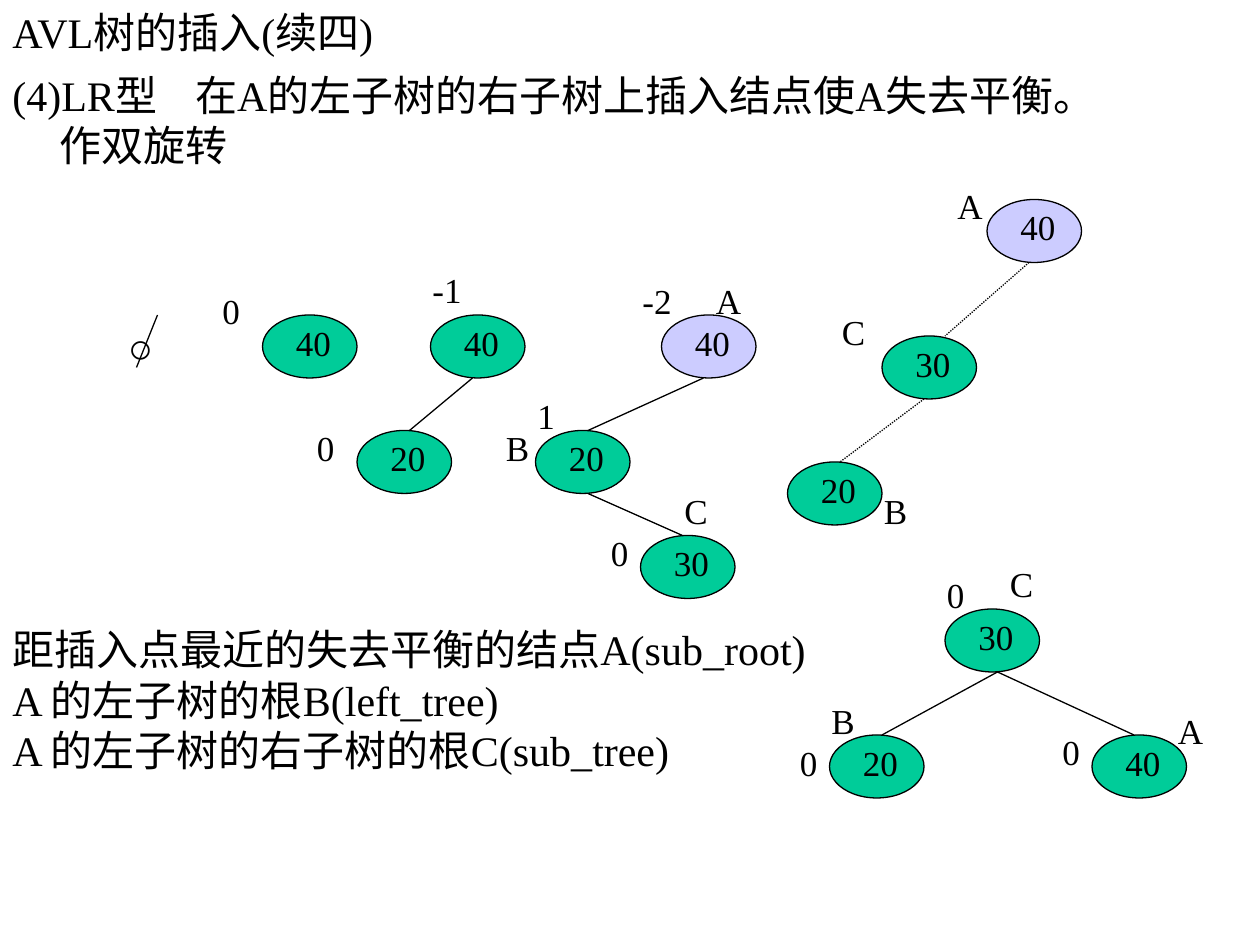
from dataclasses import dataclass

from lxml import etree
from pptx import Presentation
from pptx import util as u
from pptx.dml.color import RGBColor
from pptx.enum import dml, shapes, text
from pptx.oxml.ns import qn


@dataclass(frozen=True)
class Theme:
    ink: RGBColor = RGBColor(0, 0, 0)
    calm: RGBColor = RGBColor(0x00, 0xCC, 0x99)
    hot: RGBColor = RGBColor(0xCC, 0xCC, 0xFF)
    face: str = "Times New Roman"
    body: int = 24
    label: int = 20
    rule: float = 0.75


T = Theme()
COLS, ROWS = 120, 90          # grid over the whole slide
WIDE, HIGH = 9, 6             # one tree node
TALL = 5.28                   # one label
UNIT = u.Inches(10) // COLS


def grid(*cells):
    return [u.Emu(round(c * UNIT)) for c in cells]


def write(slide, box, lines, size, anchor=text.MSO_ANCHOR.TOP):
    """Text box with one paragraph per line; a line is (text, indent, tab)."""
    frame = slide.shapes.add_textbox(*grid(*box)).text_frame
    frame.word_wrap = True
    frame.vertical_anchor = anchor
    for i, (words, indent, tab) in enumerate(lines):
        para = frame.paragraphs[0] if i == 0 else frame.add_paragraph()
        para.text = words
        props = para._p.get_or_add_pPr()
        if indent:
            props.set("marL", str(grid(indent)[0]))
        if tab:
            stops = etree.SubElement(props, qn("a:tabLst"))
            etree.SubElement(stops, qn("a:tab"), pos=str(grid(tab)[0]), algn="l")
        para.font.name = T.face
        para.font.size = u.Pt(size)
        para.font.color.rgb = T.ink


def mark(slide, x, y, words, wide):
    write(slide, (x, y, wide, TALL), [(words, 0, 0)], T.label)


def join(slide, start, end, dotted=False):
    line = slide.shapes.add_connector(
        shapes.MSO_CONNECTOR.STRAIGHT, *grid(*start, *end))
    line.line.color.rgb = T.ink
    line.line.width = u.Pt(T.rule)
    if dotted:
        line.line.dash_style = dml.MSO_LINE.ROUND_DOT
    etree.SubElement(line._element.spPr, qn("a:effectLst"))


def oval(slide, x, y, key, hot):
    node = slide.shapes.add_shape(
        shapes.MSO_SHAPE.OVAL, *grid(x, y, WIDE, HIGH))
    node.shadow.inherit = False
    node.fill.solid()
    node.fill.fore_color.rgb = T.hot if hot else T.calm
    node.line.color.rgb = T.ink
    node.line.width = u.Pt(T.rule)
    mark(slide, x + 2, y, key, WIDE - 2)


def tree(slide, left, top, nodes, links=(), dotted=False):
    """nodes: (x, y, key, hot, labels as (text, dx, dy) from the node).
    links: (parent, child, dx on parent, dx on child)."""
    spots = [(left + n[0], top + n[1]) for n in nodes]
    for (x, y), (_, _, key, hot, _) in zip(spots, nodes):
        oval(slide, x, y, key, hot)
    for up, down, out, into in links:
        (px, py), (cx, cy) = spots[up], spots[down]
        join(slide, (px + out, py + HIGH), (cx + into, cy), dotted)
    for (x, y), node in zip(spots, nodes):
        for words, dx, dy in node[4]:
            mark(slide, x + dx, y + dy, words, 5 if words.isalpha() else 6)


def empty(slide, left, top):
    """Sign of the empty tree: a circle with a stroke through it."""
    write(slide, (left, top, 6, 6), [("○", 0, 0)], T.body)
    join(slide, (left + 4, top), (left + 2, top + 5))


def heads(slide):
    write(slide, (0, 0, 102, 6), [("AVL树的插入(续四)", 0, 0)],
          T.body, text.MSO_ANCHOR.MIDDLE)
    write(slide, (0, 6, 117, 11), [
        ("(4)LR型\t在A的左子树的右子树上插入结点使A失去平衡。", 0, 17.4),
        ("作双旋转", 4.5, 0)], T.body)


def notes(slide, left, top):
    lines = ("距插入点最近的失去平衡的结点A(sub_root)",
             "A 的左子树的根B(left_tree)",
             "A 的左子树的右子树的根C(sub_tree)")
    write(slide, (left, top, 80, 16), [(s, 0, 0) for s in lines], T.body)


def main():
    deck = Presentation()
    deck.slide_width, deck.slide_height = grid(COLS, ROWS)
    slide = deck.slides.add_slide(deck.slide_layouts[6])
    heads(slide)
    notes(slide, 0, 58.8)

    # Insertions 40, 20, 30, one after another
    empty(slide, 11, 30)
    tree(slide, 25, 30, [(0, 0, "40", False, [("0", -5, -3)])])
    tree(slide, 34, 30, [
        (7, 0, "40", False, [("-1", -1, -5)]),
        (0, 11, "20", False, [("0", -5, -1)])], [(0, 1, 4, 5)])
    tree(slide, 51, 30, [
        (12, 0, "40", True, [("-2", -3, -4), ("A", 4, -4)]),
        (0, 11, "20", False, [("1", -1, -4), ("B", -4, -1)]),
        (10, 21, "30", False, [("0", -4, -1), ("C", 3, -5)])],
        [(0, 1, 4, 5), (1, 2, 5, 4)])

    # After the first rotation
    tree(slide, 75, 19, [
        (19, 0, "40", True, [("A", -4, -2)]),
        (9, 13, "30", False, [("C", -5, -3)]),
        (0, 25, "20", False, [("B", 8, 2)])],
        [(0, 1, 4, 6), (1, 2, 4, 5)], dotted=True)

    # After the second rotation
    tree(slide, 79, 58, [
        (11, 0, "30", False, [("0", -1, -4), ("C", 5, -5)]),
        (0, 12, "20", False, [("0", -4, 0), ("B", -1, -4)]),
        (25, 12, "40", False, [("0", -4, -1), ("A", 7, -3)])],
        [(0, 1, 5, 5), (0, 2, 5, 4)])
    deck.save("out.pptx")


if __name__ == "__main__":
    main()
